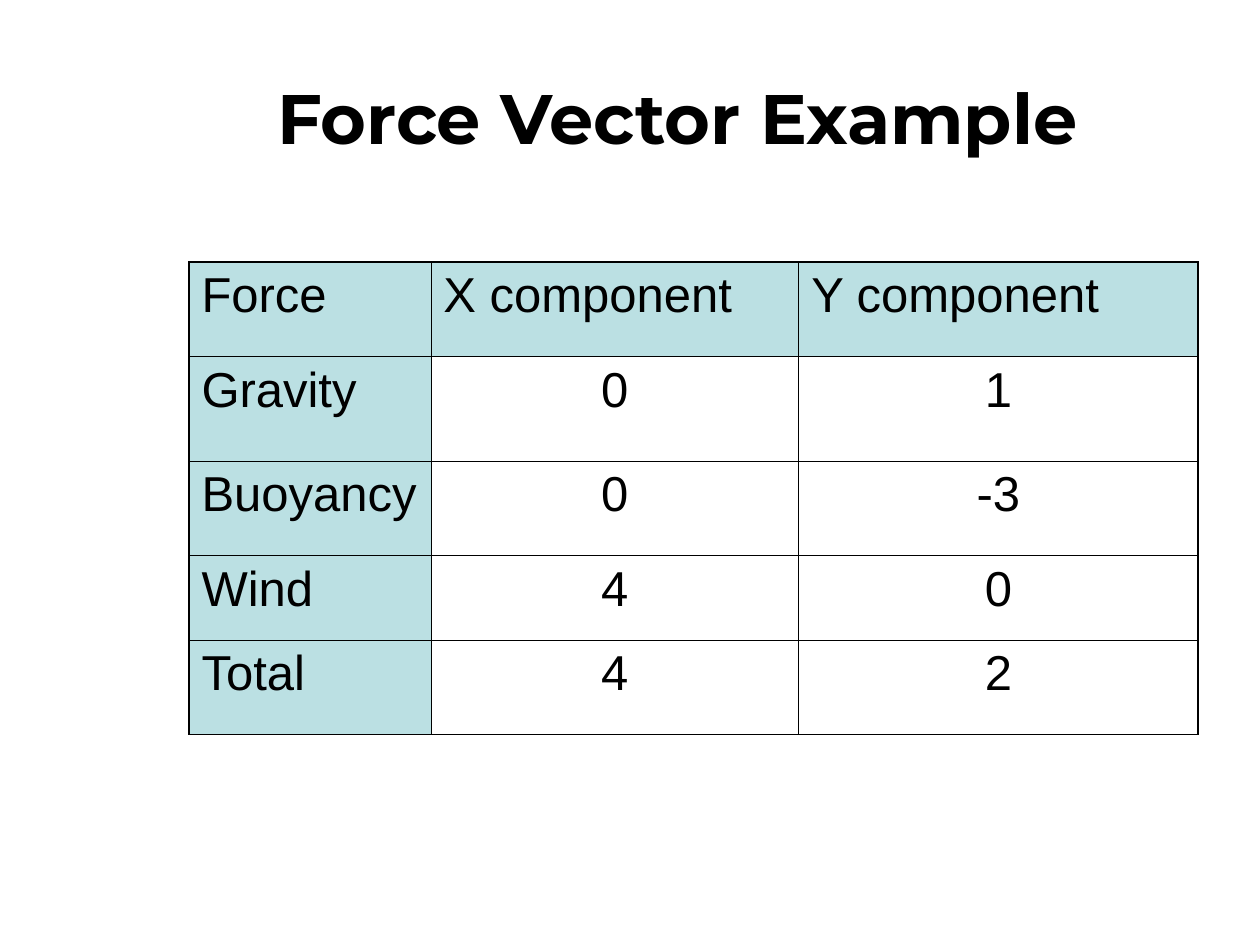
"""Build the force vector example slide with its table of components."""
from dataclasses import dataclass

from lxml.etree import SubElement
from pptx import Presentation
from pptx.dml.color import RGBColor
from pptx.enum.text import MSO_ANCHOR, PP_ALIGN
from pptx.oxml.ns import qn
from pptx.util import Inches, Pt


@dataclass(frozen=True)
class Theme:
    ink: str = "000000"
    label_fill: str = "BBE0E3"
    title_font: str = "Montserrat"
    table_font: str = "Arial"
    title_size: int = 40
    table_size: int = 28
    outer_line: float = 1.08
    inner_line: float = 0.45


theme = Theme()


def write(frame, text, *, font, size, bold=False, align=PP_ALIGN.LEFT, anchor=MSO_ANCHOR.TOP):
    frame.text = text
    frame.vertical_anchor = anchor
    paragraph = frame.paragraphs[0]
    paragraph.alignment = align
    run_font = paragraph.runs[0].font
    run_font.name = font
    run_font.size = Pt(size)
    run_font.bold = bold
    run_font.color.rgb = RGBColor.from_string(theme.ink)


def add_border(cell, side, width):
    line = SubElement(cell._tc.get_or_add_tcPr(), qn(f"a:ln{side}"), w=str(Pt(width)))
    SubElement(SubElement(line, qn("a:solidFill")), qn("a:srgbClr"), val=theme.ink)


presentation = Presentation()
presentation.slide_width = Inches(10)
presentation.slide_height = Inches(7.5)
slide = presentation.slides.add_slide(presentation.slide_layouts[5])

title = slide.shapes.title
title.left, title.top = Inches(1.25), Inches(0.3)
title.width, title.height = Inches(8.25), Inches(1.25)
write(title.text_frame, "Force Vector Example", font=theme.title_font, size=theme.title_size,
      bold=True, align=PP_ALIGN.CENTER, anchor=MSO_ANCHOR.MIDDLE)

forces = [
    ("Force", "X component", "Y component"),
    ("Gravity", "0", "1"),
    ("Buoyancy", "0", "-3"),
    ("Wind", "4", "0"),
    ("Total", "4", "2"),
]
column_widths = [1.92, 2.92, 3.17]
row_heights = [0.75, 0.83, 0.75, 0.67, 0.75]
last_row, last_column = len(row_heights) - 1, len(column_widths) - 1

components = slide.shapes.add_table(
    len(row_heights), len(column_widths), Inches(1.5), Inches(2.08),
    Inches(sum(column_widths)), Inches(sum(row_heights))).table
components.first_row = False
components.horz_banding = False
for column, width in zip(components.columns, column_widths):
    column.width = Inches(width)
for row, height in zip(components.rows, row_heights):
    row.height = Inches(height)

for r, force in enumerate(forces):
    for c, entry in enumerate(force):
        cell = components.cell(r, c)
        is_label = r == 0 or c == 0
        write(cell.text_frame, entry, font=theme.table_font, size=theme.table_size,
              align=PP_ALIGN.LEFT if is_label else PP_ALIGN.CENTER)
        outer_sides = {"L": c == 0, "R": c == last_column, "T": r == 0, "B": r == last_row}
        for side, is_outer in outer_sides.items():
            add_border(cell, side, theme.outer_line if is_outer else theme.inner_line)
        if is_label:
            cell.fill.solid()
            cell.fill.fore_color.rgb = RGBColor.from_string(theme.label_fill)
        else:
            cell.fill.background()

presentation.save("out.pptx")
